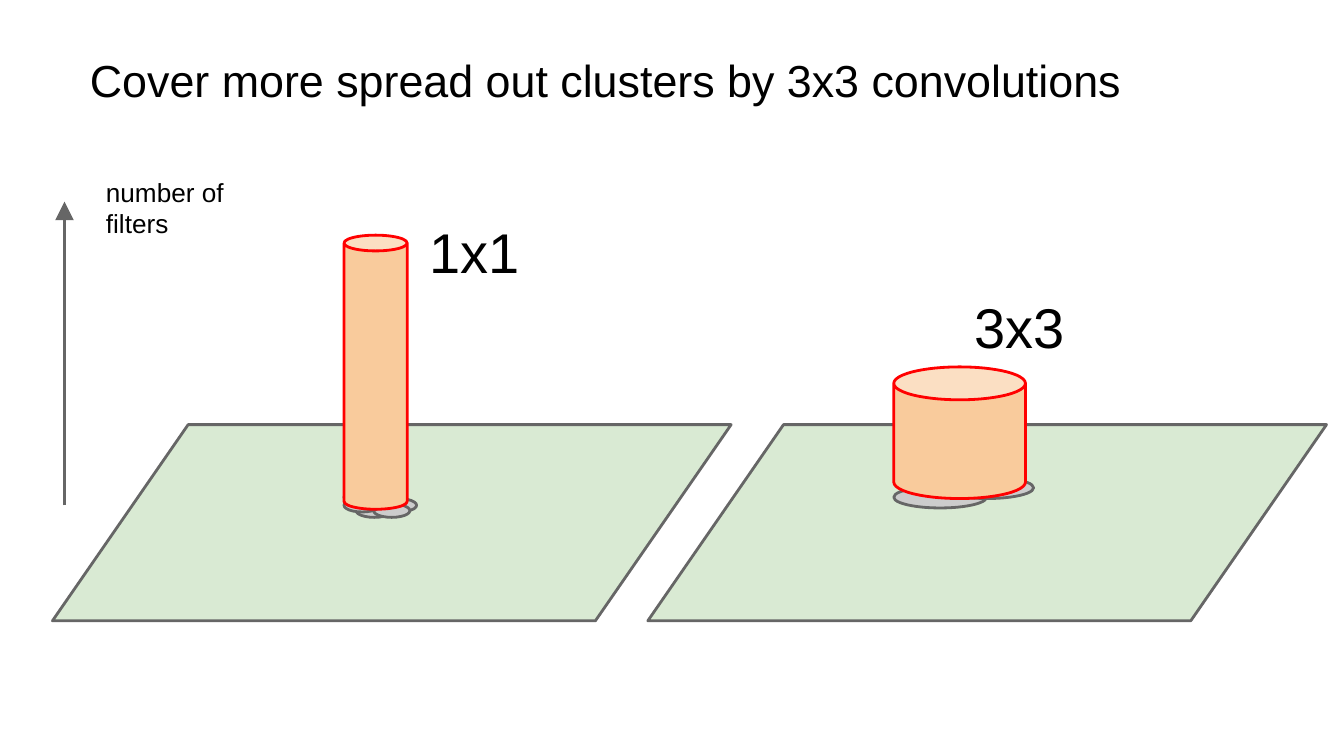
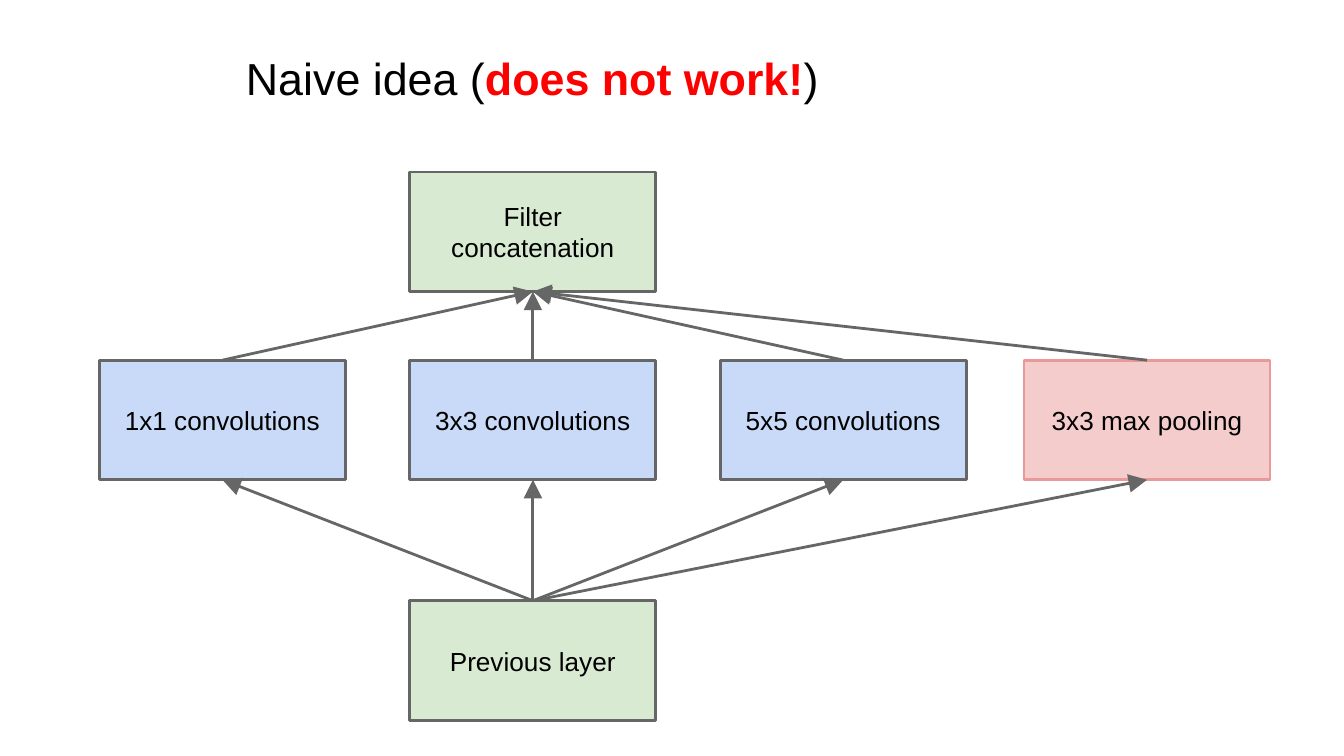
from typing import NamedTuple, Optional

from lxml import etree
from pptx import Presentation
from pptx.dml.color import RGBColor
from pptx.enum import shapes, text
from pptx.oxml.ns import qn
from pptx.util import Inches, Pt

BLACK = RGBColor(0x00, 0x00, 0x00)
RED = RGBColor(0xFF, 0x00, 0x00)
DARK_GRAY = RGBColor(0x66, 0x66, 0x66)
GRAY = RGBColor(0xCC, 0xCC, 0xCC)
GREEN = RGBColor(0xD9, 0xEA, 0xD3)
ORANGE = RGBColor(0xF9, 0xCB, 0x9C)
BLUE = RGBColor(0xC9, 0xDA, 0xF8)
PINK = RGBColor(0xF4, 0xCC, 0xCC)
ROSE = RGBColor(0xEA, 0x99, 0x99)

SLIDE_W = Inches(10)
SLIDE_H = SLIDE_W * 9 // 16
FONT = "Arial"
TITLE_SIZE, FILTER_SIZE, BODY_SIZE = 24, 30, 14
LINE_WIDTH = Pt(1.5)
INSET = Inches(0.1)
TOP, BOTTOM = 0, 2

KIND = shapes.MSO_SHAPE
LEFT, CENTER = text.PP_ALIGN.LEFT, text.PP_ALIGN.CENTER


class Box(NamedTuple):
    x: float
    y: float
    w: float
    h: float


class Span(NamedTuple):
    words: str
    color: RGBColor = BLACK
    bold: bool = False


class Cluster(NamedTuple):
    """A plane, the spots lying on it and the cylinder that covers them."""
    plane_x: float
    spot_size: tuple[float, float]
    spots: list[tuple[float, float]]
    cylinder: Box


class Block(NamedTuple):
    label: str
    x: float
    y: float
    fill: RGBColor
    line: RGBColor = DARK_GRAY


PLANE_Y, PLANE_W, PLANE_H = 3.16, 5.05, 1.46
CLUSTERS = [
    Cluster(0.39, (0.27, 0.1),
            [(2.56, 3.65), (2.65, 3.71), (2.75, 3.65), (2.83, 3.71),
             (2.65, 3.75), (2.78, 3.75), (2.56, 3.71)],
            Box(2.56, 1.75, 0.47, 2.04)),
    Cluster(4.82, (0.69, 0.16),
            [(6.73, 3.49), (6.65, 3.62), (7, 3.55)],
            Box(6.65, 2.73, 0.98, 0.98)),
]

BLOCK_W, BLOCK_H = 1.83, 0.89
COLUMN_X, COLUMN_STEP, ROW_Y = 0.74, 2.31, 2.68
MIDDLE_X = COLUMN_X + COLUMN_STEP
CONCATENATION = Block("Filter concatenation", MIDDLE_X, 1.28, GREEN)
PREVIOUS = Block("Previous layer", MIDDLE_X, 4.47, GREEN)
BRANCHES = [Block(f"{n}x{n} convolutions", COLUMN_X + i * COLUMN_STEP, ROW_Y, BLUE)
            for i, n in enumerate((1, 3, 5))]
BRANCHES.append(Block("3x3 max pooling", 7.62, ROW_Y, PINK, ROSE))


def write(sp, spans: list[Span], size: float, align=LEFT,
          anchor=text.MSO_ANCHOR.TOP) -> None:
    tf = sp.text_frame
    frame_format = {"word_wrap": True, "vertical_anchor": anchor,
                    "margin_left": INSET, "margin_right": INSET,
                    "margin_top": INSET, "margin_bottom": INSET}
    for name, value in frame_format.items():
        setattr(tf, name, value)
    p = tf.paragraphs[0]
    p.alignment = align
    for span in spans:
        r = p.add_run()
        r.text = span.words
        for name, value in {"name": FONT, "size": Pt(size), "bold": span.bold}.items():
            setattr(r.font, name, value)
        r.font.color.rgb = span.color


def add_text(s, box: Box, spans: list[Span], size: float, align=LEFT) -> None:
    write(s.shapes.add_textbox(*map(Inches, box)), spans, size, align)


def add_title(s, box: Box, spans: list[Span], align=LEFT) -> None:
    add_text(s, box, spans, TITLE_SIZE, align)


def add_shape(s, kind, box: Box, fill: RGBColor, line: RGBColor = DARK_GRAY):
    sp = s.shapes.add_shape(kind, *map(Inches, box))
    sp.shadow.inherit = False
    sp.fill.solid()
    sp.fill.fore_color.rgb = fill
    sp.line.color.rgb = line
    sp.line.width = LINE_WIDTH
    return sp


def add_arrow(s, start: tuple[float, float] = (0, 0), end: tuple[float, float] = (0, 0),
              source: Optional[object] = None, target: Optional[object] = None) -> None:
    """Draw from start to end, or from the top of source to the bottom of target."""
    arrow = s.shapes.add_connector(shapes.MSO_CONNECTOR.STRAIGHT,
                                   *map(Inches, (*start, *end)))
    if source is not None and target is not None:
        arrow.begin_connect(source, TOP)
        arrow.end_connect(target, BOTTOM)
    arrow.line.color.rgb = DARK_GRAY
    arrow.line.width = LINE_WIDTH
    properties = arrow._element.spPr
    etree.SubElement(properties.find(qn("a:ln")), qn("a:tailEnd"),
                     type="triangle", w="lg", len="lg")
    etree.SubElement(properties, qn("a:effectLst"))


def add_cluster(s, cluster: Cluster) -> None:
    add_shape(s, KIND.FLOWCHART_DATA,
              Box(cluster.plane_x, PLANE_Y, PLANE_W, PLANE_H), GREEN)
    for spot in cluster.spots:
        add_shape(s, KIND.OVAL, Box(*spot, *cluster.spot_size), GRAY)
    can = add_shape(s, KIND.CAN, cluster.cylinder, ORANGE, RED)
    can.adjustments[0] = 0.25


def add_block(s, block: Block):
    sp = add_shape(s, KIND.RECTANGLE, Box(block.x, block.y, BLOCK_W, BLOCK_H),
                   block.fill, block.line)
    write(sp, [Span(block.label)], BODY_SIZE, CENTER, text.MSO_ANCHOR.MIDDLE)
    return sp


def build_clusters_slide(s) -> None:
    add_title(s, Box(0.57, 0.29, 9.18, 1.46),
              [Span("Cover more spread out clusters by 3x3 convolutions")])
    for cluster in CLUSTERS:
        add_cluster(s, cluster)
    add_text(s, Box(3.1, 1.52, 1.34, 0.89), [Span("1x1")], FILTER_SIZE)
    add_text(s, Box(7.15, 2.08, 1.05, 0.65), [Span("3x3")], FILTER_SIZE)
    add_text(s, Box(0.69, 1.21, 1.44, 0.54), [Span("number of filters")], BODY_SIZE)
    add_arrow(s, (0.48, 3.76), (0.48, 1.5))


def build_naive_idea_slide(s) -> None:
    add_title(s, Box(1.61, 0.28, 4.7, 0.74),
              [Span("Naive idea ("), Span("does not work!", RED, True), Span(")")],
              CENTER)
    concatenation = add_block(s, CONCATENATION)
    previous = add_block(s, PREVIOUS)
    branches = [add_block(s, block) for block in BRANCHES]
    for branch in branches:
        add_arrow(s, source=branch, target=concatenation)
        add_arrow(s, source=previous, target=branch)


def main() -> None:
    prs = Presentation()
    prs.slide_width, prs.slide_height = SLIDE_W, SLIDE_H
    blank = prs.slide_layouts[6]
    for build in (build_clusters_slide, build_naive_idea_slide):
        build(prs.slides.add_slide(blank))
    prs.save("out.pptx")


if __name__ == "__main__":
    main()
